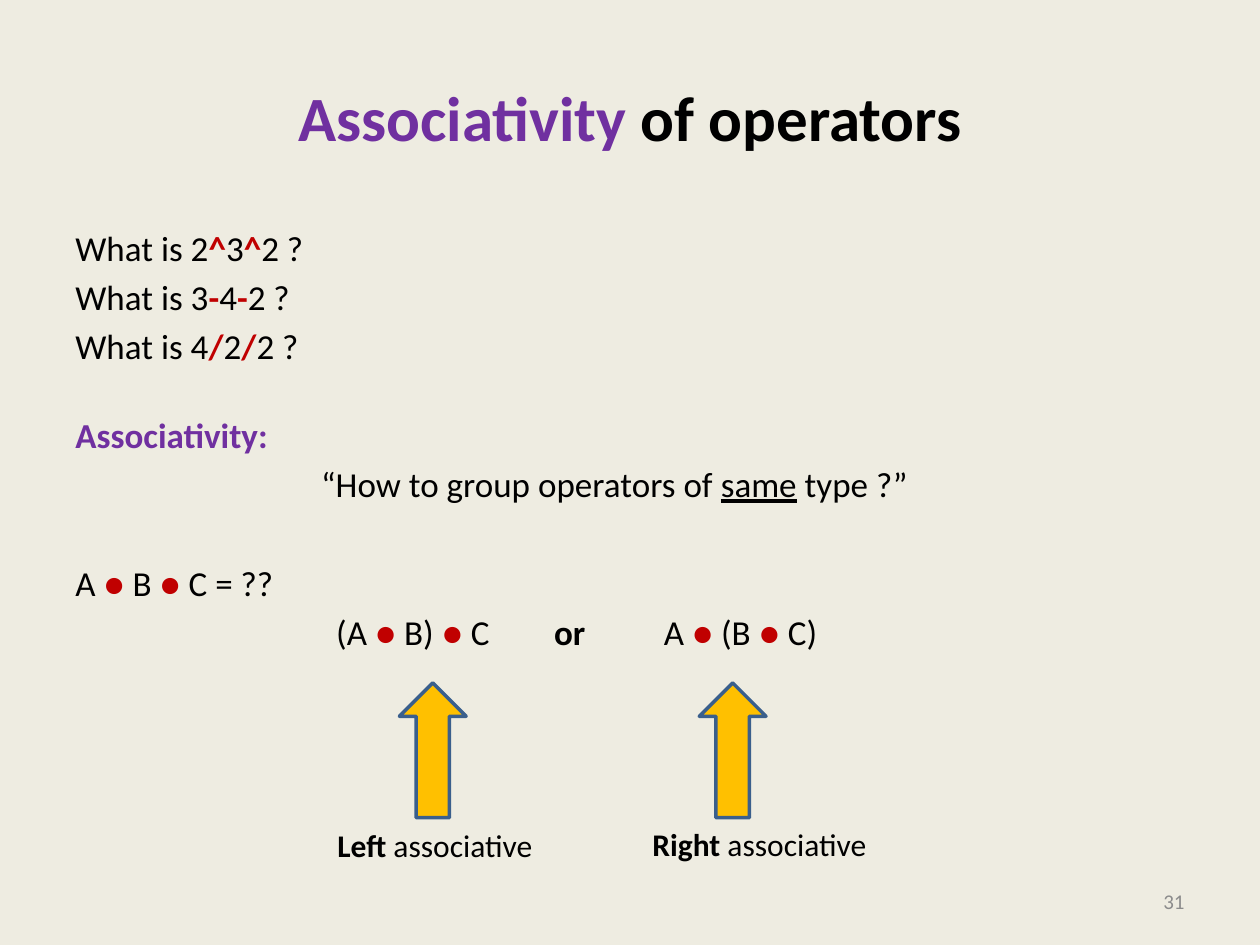
from lxml.etree import SubElement
from pptx import Presentation
from pptx.dml.color import RGBColor
from pptx.enum.shapes import MSO_SHAPE as SHAPE
from pptx.enum.text import MSO_ANCHOR as ANCHOR, PP_ALIGN as ALIGN
from pptx.oxml.ns import qn
from pptx.util import Inches, Pt

BLACK, PURPLE, RED, GRAY = "000000", "7030A0", "C00000", "8C8C8C"
GOLD, BLUE, CREAM = "FFC000", "3A5F8C", "EEECE1"


def rgb(value):
    return RGBColor.from_string(value)


def add_frame(s, box, anchor=ANCHOR.TOP, wrap=True):
    tf = s.shapes.add_textbox(*map(Inches, box)).text_frame
    tf.word_wrap = wrap
    tf.vertical_anchor = anchor
    return tf


def write(p, runs, size, align=ALIGN.LEFT, color=BLACK):
    p.alignment = align
    p.font.name = "Calibri"
    p.font.size = Pt(size)
    p.font.color.rgb = rgb(color)
    for text, style in runs:
        r = p.add_run()
        r.text = text
        if "color" in style:
            r.font.color.rgb = rgb(style["color"])
        if "bold" in style:
            r.font.bold = style["bold"]
        if "underline" in style:
            r.font.underline = style["underline"]


def set_tabs(p, stops):
    tabs = SubElement(p._p.get_or_add_pPr(), qn("a:tabLst"))
    for stop in stops:
        SubElement(tabs, qn("a:tab"), pos=str(Inches(stop)), algn="l")


def mark(text, symbol, **style):
    runs = []
    for i, part in enumerate(text.split(symbol)):
        if i:
            runs.append((symbol, {"color": RED, **style}))
        runs.append((part, {}))
    return runs


def add_title(s, box):
    tf = add_frame(s, box, ANCHOR.MIDDLE)
    runs = [("Associativity", {"color": PURPLE, "bold": True}),
            (" of operators", {"bold": True})]
    write(tf.paragraphs[0], runs, 36, ALIGN.CENTER)


def add_body(s, box):
    questions = [("2^3^2", "^"), ("3-4-2", "-"), ("4/2/2", "/")]
    lines = [(mark(f"What is {term} ?", symbol, bold=True), 4, [])
             for term, symbol in questions]
    lines += [
        ([("Associativity:", {"color": PURPLE, "bold": True})], 26.7, []),
        ([("\t“How to group operators of ", {}), ("same", {"underline": True}),
          (" type ?”", {})], 4, [1.95]),
        (mark("A ● B ● C = ??", "●"), 32.4, []),
        (mark("\t(A ● B) ● C\t", "●") + [("or", {"bold": True})]
         + mark("\tA ● (B ● C)", "●"), 4, [2.07, 3.8, 4.67]),
    ]
    tf = add_frame(s, box)
    for i, (runs, gap, stops) in enumerate(lines):
        p = tf.add_paragraph() if i else tf.paragraphs[0]
        if stops:
            set_tabs(p, stops)
        p.space_before = Pt(gap)
        write(p, runs, 20)


def add_side(s, side, arrow_box, label_box):
    arrow = s.shapes.add_shape(SHAPE.UP_ARROW, *map(Inches, arrow_box))
    arrow.shadow.inherit = False
    arrow.fill.solid()
    arrow.fill.fore_color.rgb = rgb(GOLD)
    arrow.line.color.rgb = rgb(BLUE)
    arrow.line.width = Pt(2)
    tf = add_frame(s, label_box, wrap=False)
    write(tf.paragraphs[0], [(side, {"bold": True}), (" associative", {})], 18)


def add_number(s, box):
    tf = add_frame(s, box, ANCHOR.MIDDLE)
    write(tf.paragraphs[0], [("31", {})], 12, ALIGN.RIGHT, GRAY)


def main():
    prs = Presentation()
    prs.slide_width, prs.slide_height = Inches(10), Inches(7.5)
    s = prs.slides.add_slide(prs.slide_layouts[6])
    s.background.fill.solid()
    s.background.fill.fore_color.rgb = rgb(CREAM)
    add_title(s, (0.5, 0.3, 9, 1.25))
    add_body(s, (0.5, 1.75, 9, 4.95))
    add_side(s, "Left", (3.17, 5.42, 0.53, 1.07), (2.58, 6.51, 1.77, 0.4))
    add_side(s, "Right", (5.55, 5.42, 0.53, 1.07), (5.08, 6.5, 1.9, 0.4))
    add_number(s, (7.17, 6.95, 2.33, 0.4))
    prs.save("out.pptx")


if __name__ == "__main__":
    main()
